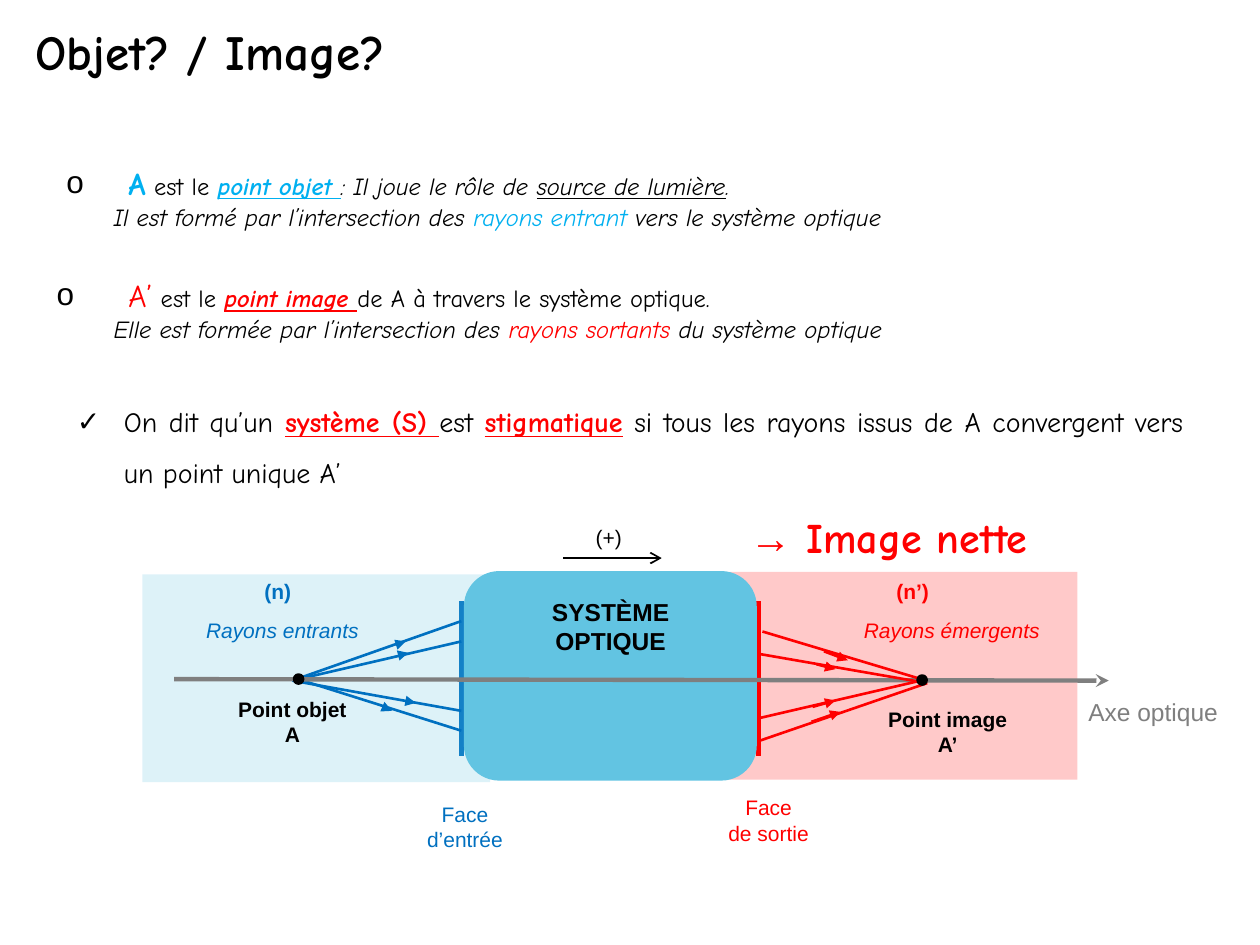
from pptx import Presentation
from pptx.dml.color import RGBColor
from pptx.enum.shapes import MSO_CONNECTOR as Link, MSO_SHAPE as Kind
from pptx.enum.text import MSO_ANCHOR as Anchor, PP_ALIGN as Align
from pptx.oxml.ns import qn
from pptx.util import Cm, Pt
from lxml.etree import SubElement

BLACK, GREY, RED = "000000", "7F7F7F", "FF0000"
BLUE, SKY, GLASS = "0070C0", "00B0F0", "62C4E2"


def color(value):
    return RGBColor.from_string(value)


class Board:
    label_font = "Arial"
    text_font = "Comic Neue"

    def __init__(self, page):
        self.page = page

    def style(self, span, size, tone=BLACK, marks="", font=None):
        span.font.name = font or self.text_font
        span.font.size = Pt(size)
        span.font.color.rgb = color(tone)
        span.font.bold = "b" in marks
        span.font.italic = "i" in marks
        span.font.underline = "u" in marks

    def title(self, text, left, top, width, height):
        box = self.page.shapes.title
        box.left, box.top, box.width, box.height = map(Cm, (left, top, width, height))
        frame = box.text_frame
        frame.text = text
        frame.vertical_anchor = Anchor.MIDDLE
        para = frame.paragraphs[0]
        para.alignment = Align.LEFT
        para.line_spacing = 0.9
        self.style(para.runs[0], 28, marks="b")

    def frame(self, left, top, width, height):
        box = self.page.shapes.add_textbox(Cm(left), Cm(top), Cm(width), Cm(height))
        box.text_frame.word_wrap = True
        return box.text_frame

    def label(self, text, place, tone=BLACK, size=12, marks="", align=Align.CENTER):
        frame = self.frame(*place)
        frame.text = text
        for para in frame.paragraphs:
            para.alignment = align
            self.style(para.runs[0], size, tone, marks, self.label_font)

    def spans(self, para, pieces):
        for text, *look in pieces:
            span = para.add_run()
            span.text = text
            self.style(span, *look)

    def indent(self, para, margin, hanging=0, bullet=None):
        props = para._p.get_or_add_pPr()
        props.set("marL", str(Cm(margin)))
        props.set("indent", str(-Cm(hanging)))
        if bullet:
            tint = SubElement(props, qn("a:buClr"))
            SubElement(tint, qn("a:srgbClr"), val=BLACK)
            SubElement(props, qn("a:buFont"), typeface=self.label_font)
            SubElement(props, qn("a:buChar"), char=bullet)

    def definition(self, place, hanging, margin, first, second):
        frame = self.frame(*place)
        head = frame.paragraphs[0]
        self.indent(head, hanging, hanging, "o")
        self.spans(head, first)
        detail = frame.add_paragraph()
        self.indent(detail, margin)
        self.spans(detail, second)

    def statement(self, place, pieces, bullet=None):
        para = self.frame(*place).paragraphs[0]
        para.alignment = Align.JUSTIFY
        para.line_spacing = 1.5
        self.indent(para, 0.95, 0.95, bullet)
        self.spans(para, pieces)

    def line(self, start, end, tone, width, tip=None):
        link = self.page.shapes.add_connector(
            Link.STRAIGHT, *map(Cm, (*start, *end)))
        link.line.color.rgb = color(tone)
        link.line.width = Pt(width)
        if tip:
            SubElement(link.line._get_or_add_ln(), qn("a:tailEnd"), type=tip)
        SubElement(link._element.spPr, qn("a:effectLst"))

    def shape(self, kind, place, fill, outline=False, alpha=None):
        item = self.page.shapes.add_shape(kind, *map(Cm, place))
        item.shadow.inherit = False
        item.fill.solid()
        item.fill.fore_color.rgb = color(fill)
        if alpha:
            tint = item._element.spPr.find(qn("a:solidFill"))[0]
            SubElement(tint, qn("a:alpha"), val=str(alpha * 1000))
        if outline:
            item.line.color.rgb = color(fill)
            item.line.width = Pt(1)
        else:
            item.line.fill.background()

    def rays(self, rays, arrows, tone, arrow_width):
        for start, end in rays:
            self.line(start, end, tone, 1.5)
        for start, end in arrows:
            self.line(start, end, tone, arrow_width, "triangle")


def main():
    deck = Presentation()
    deck.slide_width, deck.slide_height = Cm(25.4), Cm(19.05)
    board = Board(deck.slides.add_slide(deck.slide_layouts[5]))

    board.title("Objet? / Image?", 0.46, -0.74, 21.89, 3.68)
    board.statement((1.3, 7.7, 22.81, 2.29), [
        ("On dit qu’un ", 16),
        ("système (S) ", 16, RED, "bu"),
        ("est ", 16),
        ("stigmatique", 16, RED, "bu"),
        (" si tous les rayons issus de A convergent vers un point unique A’", 16),
    ], "✓")
    board.label("Axe optique", (21.69, 13.92, 3.6, 0.86), GREY, 14, align=Align.LEFT)
    board.line((11.35, 11.25), (13.34, 11.25), BLACK, 1, "arrow")
    board.label("(+)", (11.76, 10.44, 3.61, 0.76), align=Align.LEFT)

    entry, output = 9.3, 15.29
    for x, tone in ((entry, BLUE), (output, RED)):
        board.line((x, 12.12), (x, 15.24), tone, 2.5)
    board.label("Face\nd’entrée", (7.57, 16.03, 3.61, 1.27), BLUE)
    board.label("Face\nde sortie", (13.69, 15.9, 3.61, 1.27), RED)

    board.shape(Kind.RECTANGLE, (2.87, 11.58, 7.01, 4.19), GLASS, alpha=21)
    board.shape(Kind.RECTANGLE, (14.71, 11.53, 7.01, 4.19), RED, alpha=21)
    board.label("(n)", (3.3, 11.53, 4.6, 0.76), BLUE, marks="b")
    board.label("(n’)", (16.1, 11.53, 4.6, 0.76), RED, marks="b")

    source = (5.89, 13.72)
    board.rays(
        [(source, (entry, 12.52)), (source, (entry, 12.93)),
         (source, (entry, 14.33)), ((6.1, 13.72), (entry, 14.73))],
        [((7.57, 13.13), (8.18, 12.93)), ((7.77, 13.28), (8.23, 13.16)),
         ((7.77, 14.05), (8.38, 14.17)), ((7.49, 14.15), (7.9, 14.33))],
        BLUE, 0.5)
    board.label("Rayons entrants", (3.89, 12.32, 3.61, 0.76), BLUE, marks="i")
    board.label("Rayons émergents", (16.89, 12.32, 4.6, 0.76), RED, marks="i")

    board.shape(Kind.ROUNDED_RECTANGLE, (9.37, 11.53, 5.87, 4.19), GLASS, outline=True)
    board.line((3.51, 13.69), (22.35, 13.72), GREY, 2.5, "stealth")
    board.label("SYSTÈME OPTIQUE", (9.91, 11.91, 4.8, 1.45), size=14, marks="b")
    board.statement((14.86, 9.68, 7.49, 1.78), [
        ("→", 24, RED, "b", board.label_font),
        (" Image nette", 24, RED, "b"),
    ])
    board.label("Point objet\nA", (4.09, 13.92, 3.61, 1.27), marks="b")
    board.label("Point image\nA’", (17.3, 14.12, 3.61, 1.27), marks="b")

    board.definition(
        (1.09, 3.18, 24.2, 2.21), 1.25, 0.95,
        [("A", 18, SKY, "b"),
         (" est le ", 14),
         ("point objet ", 14, SKY, "biu"),
         (": Il joue le rôle de ", 14, BLACK, "i"),
         ("source de lumière", 14, BLACK, "iu"),
         (".", 14, BLACK, "i")],
        [("Il est formé par l’intersection des ", 14, BLACK, "i"),
         ("rayons entrant ", 14, SKY, "i"),
         ("vers le système optique", 14, BLACK, "i")])
    board.definition(
        (0.89, 5.44, 20.8, 1.63), 1.45, 1.15,
        [("A’", 18, RED),
         (" est le ", 14),
         ("point image ", 14, RED, "biu"),
         ("de A à travers le système optique.", 14)],
        [("Elle est formée par l’intersection des ", 14, BLACK, "i"),
         ("rayons sortants ", 14, RED, "i"),
         ("du système optique", 14, BLACK, "i")])

    board.rays(
        [((output, 14.94), (18.69, 13.77)), ((output, 14.48), (18.69, 13.69)),
         ((output, 13.18), (18.69, 13.77)), ((15.37, 12.73), (18.57, 13.69))],
        [((16.36, 14.55), (16.94, 14.35)), ((16.38, 14.25), (16.84, 14.12)),
         ((16.46, 13.39), (16.84, 13.49)), ((16.61, 13.13), (17.09, 13.31))],
        RED, 1.5)
    for x, y in ((18.49, 13.61), (5.92, 13.59)):
        board.shape(Kind.OVAL, (x, y, 0.2, 0.2), BLACK, outline=True)

    deck.save("out.pptx")


if __name__ == "__main__":
    main()
